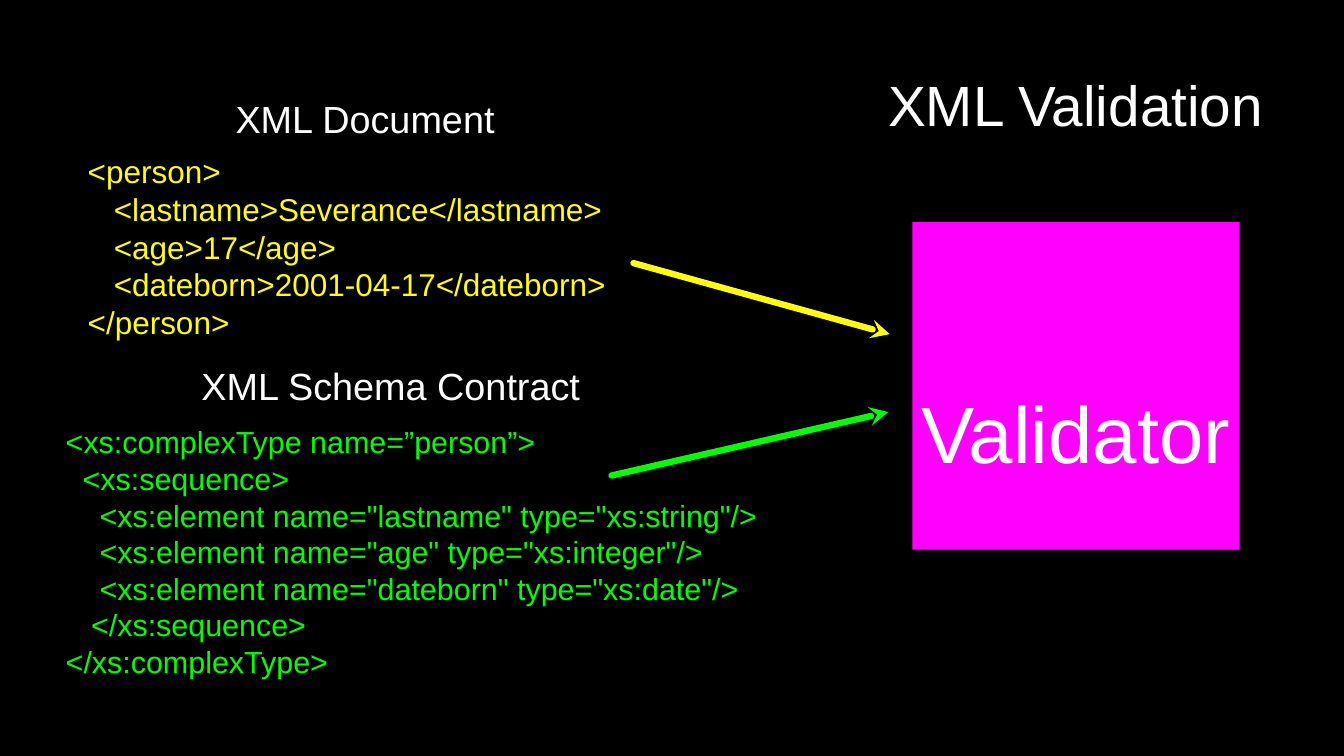
from lxml.etree import SubElement
from pptx import Presentation
from pptx.dml.color import RGBColor
from pptx.enum.shapes import MSO_CONNECTOR, MSO_SHAPE
from pptx.enum.text import MSO_ANCHOR, PP_ALIGN
from pptx.oxml.ns import qn
from pptx.util import Inches, Pt

FONT = "Arial"
BLACK, WHITE = "000000", "FFFFFF"
YELLOW, GREEN, MAGENTA = "FFFF00", "00FF00", "FF00FF"

DOCUMENT_LINES = [
    "<person>",
    "   <lastname>Severance</lastname>",
    "   <age>17</age>",
    "   <dateborn>2001-04-17</dateborn>",
    "</person>",
]
SCHEMA_LINES = [
    "<xs:complexType name=”person”>",
    "  <xs:sequence>",
    '    <xs:element name="lastname" type="xs:string"/>',
    '    <xs:element name="age" type="xs:integer"/>',
    '    <xs:element name="dateborn" type="xs:date"/>',
    "   </xs:sequence>",
    "</xs:complexType>",
]


def set_color(color_format, value):
    color_format.rgb = RGBColor.from_string(value)


def write_lines(shape, lines, size, color, align, top_inset=0):
    frame = shape.text_frame
    frame.word_wrap = True
    frame.vertical_anchor = MSO_ANCHOR.MIDDLE
    frame.margin_left = frame.margin_right = frame.margin_bottom = 0
    frame.margin_top = Inches(top_inset)
    for index, line in enumerate(lines):
        para = frame.add_paragraph() if index else frame.paragraphs[0]
        para.alignment = align
        span = para.add_run()
        span.text = line
        span.font.name = FONT
        span.font.size = Pt(size)
        set_color(span.font.color, color)


def add_text(page, place, lines, size, color, align):
    box = page.shapes.add_textbox(*map(Inches, place))
    write_lines(box, lines, size, color, align)


def add_heading(page, place, text, size):
    add_text(page, place, [text], size, WHITE, PP_ALIGN.CENTER)


def add_code(page, place, lines, size, color):
    add_text(page, place, lines, size, color, PP_ALIGN.LEFT)


def add_validator(page):
    square = page.shapes.add_shape(
        MSO_SHAPE.RECTANGLE, *map(Inches, (12.07, 2.94, 4.33, 4.33)))
    square.shadow.inherit = False
    square.fill.solid()
    set_color(square.fill.fore_color, MAGENTA)
    square.line.fill.background()
    # The top inset lowers the label by one line
    write_lines(square, ["Validator"], 76, WHITE, PP_ALIGN.CENTER, top_inset=1.21)


def add_arrow(page, tip, origin, color):
    arrow = page.shapes.add_connector(
        MSO_CONNECTOR.STRAIGHT, *map(Inches, tip + origin))
    set_color(arrow.line.color, color)
    arrow.line.width = Pt(6)
    outline = arrow.line._get_or_add_ln()
    outline.set("cap", "rnd")
    SubElement(outline, qn("a:round"))
    SubElement(outline, qn("a:headEnd"), type="stealth")
    SubElement(arrow._element.spPr, qn("a:effectLst"))


def main():
    deck = Presentation()
    deck.slide_width, deck.slide_height = Inches(17.78), Inches(10)
    page = deck.slides.add_slide(deck.slide_layouts[6])
    page.background.fill.solid()
    set_color(page.background.fill.fore_color, BLACK)

    add_validator(page)

    # Code listings
    add_code(page, (1.16, 1.99, 6.92, 2.54), DOCUMENT_LINES, 30, YELLOW)
    add_code(page, (0.87, 5.51, 9.7, 3.57), SCHEMA_LINES, 29, GREEN)

    # Headings
    add_heading(page, (2.63, 4.76, 5.08, 0.68), "XML Schema Contract", 36)
    add_heading(page, (2.63, 1.22, 4.4, 0.68), "XML Document", 36)
    add_heading(page, (11.56, 0.83, 5.34, 1.1), "XML Validation", 54)

    # Arrows from each listing to the validator
    add_arrow(page, (11.77, 4.42), (8.38, 3.48), YELLOW)
    add_arrow(page, (11.75, 5.45), (8.09, 6.29), GREEN)

    deck.save("out.pptx")


if __name__ == "__main__":
    main()
